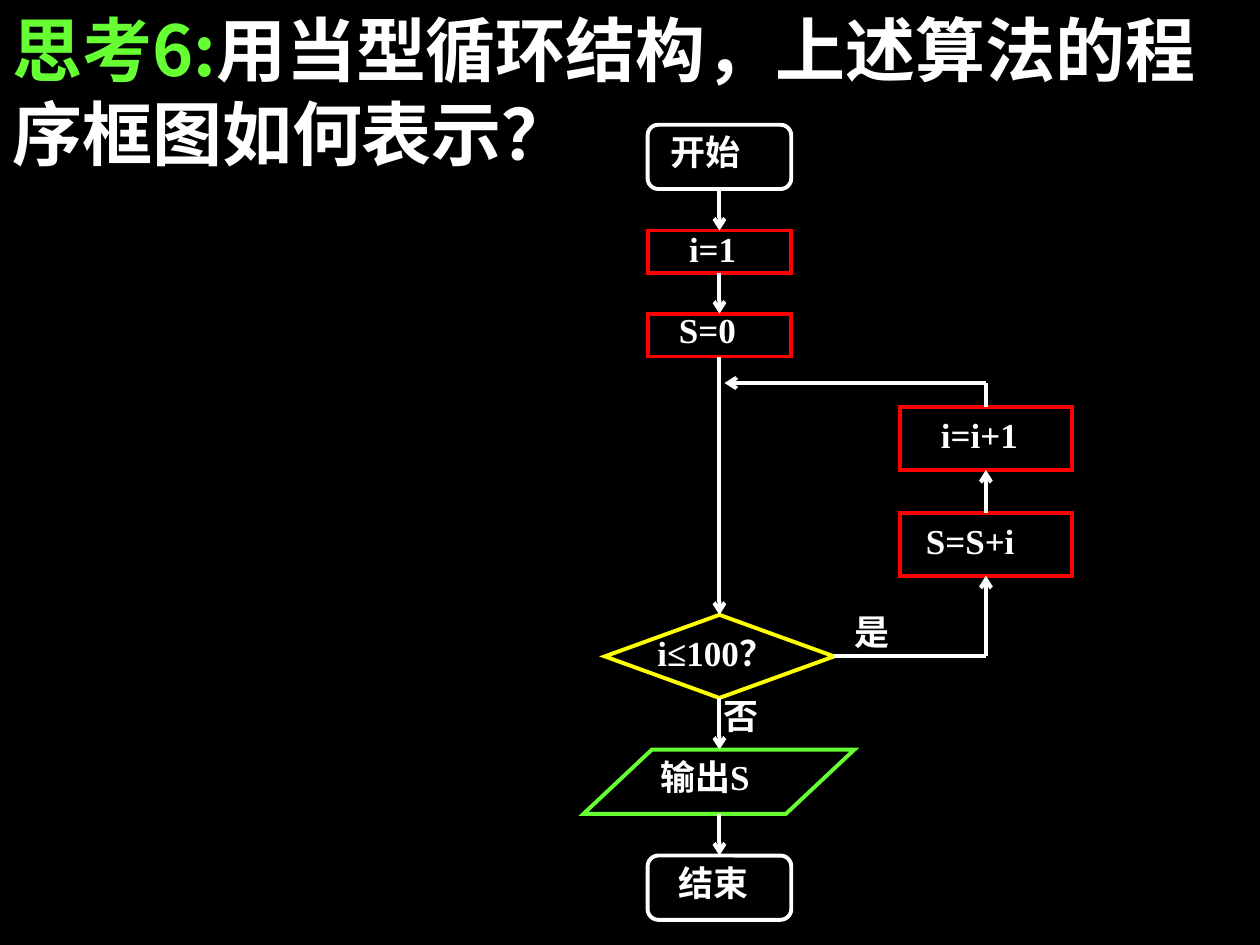
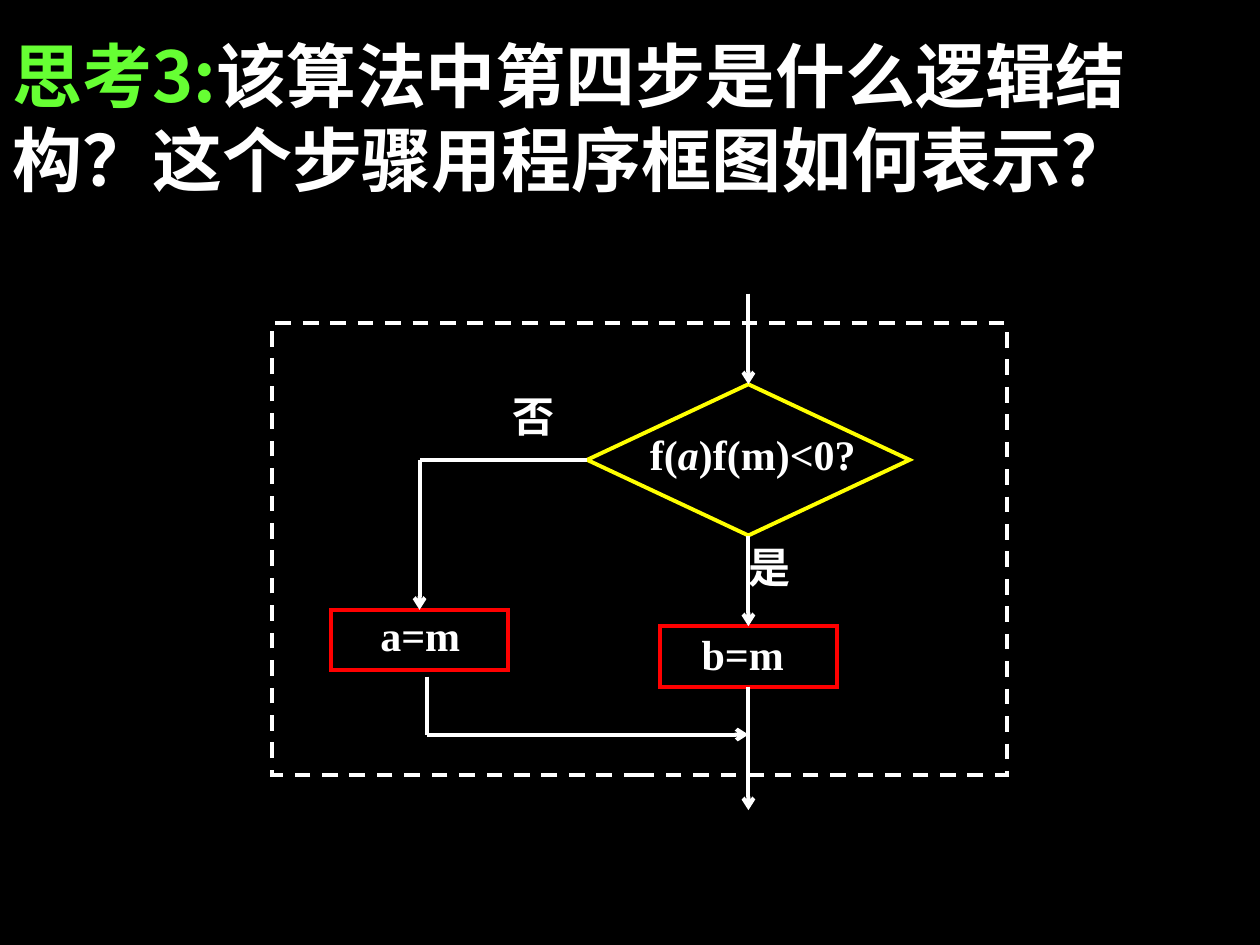
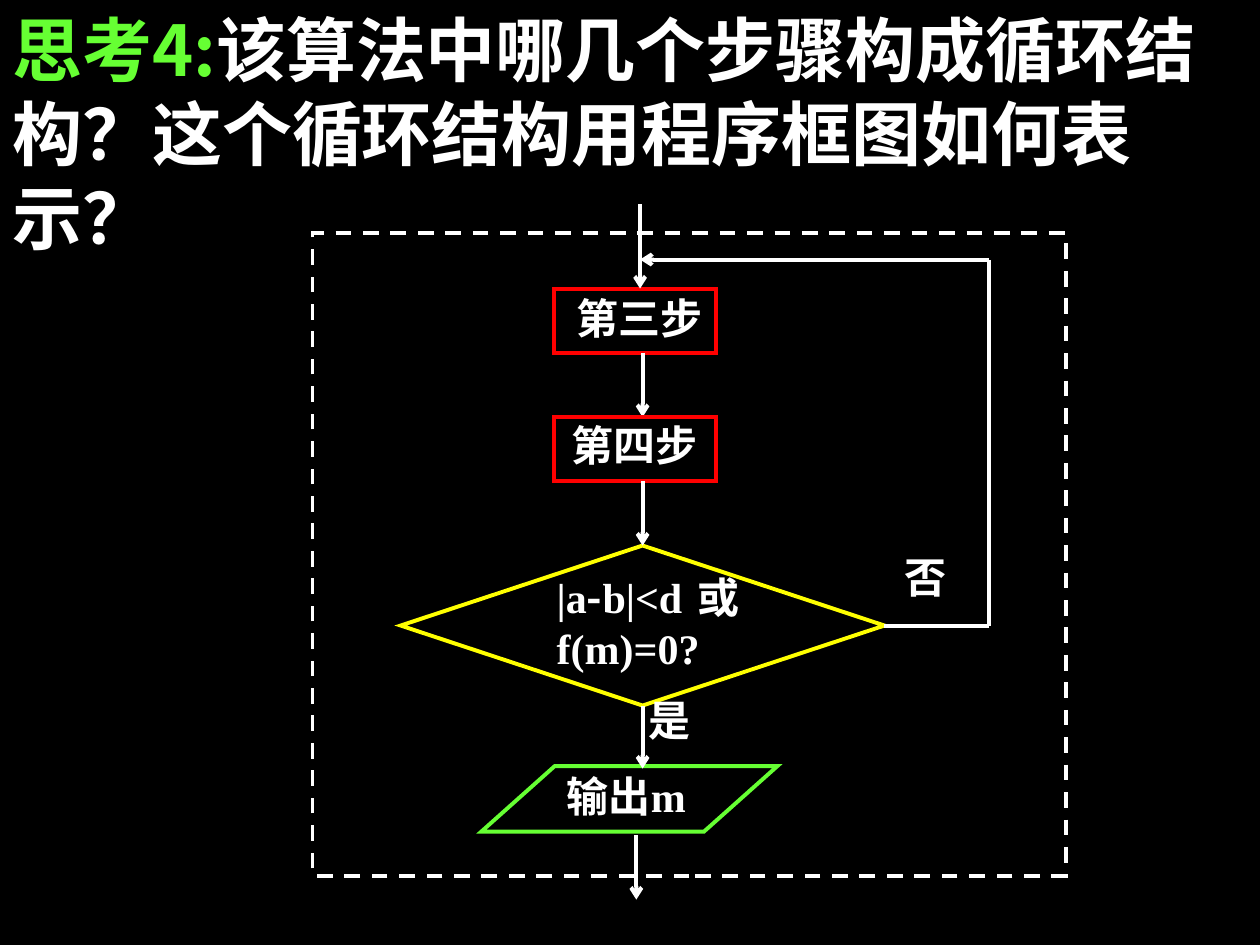
from lxml import etree
from pptx import Presentation
from pptx import util as u
from pptx.dml.color import RGBColor
from pptx.enum import dml, shapes, text
from pptx.oxml import ns

COLUMNS, ROWS = 100, 75
WHITE, BLACK, RED, YELLOW, GREEN = "FFFFFF", "000000", "FF0000", "FFFF00", "66FF33"
SANS, SERIF = "Noto Sans CJK SC", "Times New Roman"
TOP, LEFT, BOTTOM, RIGHT = range(4)


def color(value):
    return RGBColor.from_string(value)


def add_text(paragraph, words, size=20, font=SERIF, fill=WHITE, italic=False):
    run = paragraph.add_run()
    run.text = words
    run.font.size = u.Pt(size)
    run.font.bold = True
    run.font.italic = italic
    run.font.color.rgb = color(fill)
    run.font.name = font
    etree.SubElement(run.font._element, ns.qn("a:ea"), typeface=SANS)


class Flowchart:
    def __init__(self):
        self.presentation = Presentation()
        self.presentation.slide_width = u.Inches(10)
        self.presentation.slide_height = u.Inches(7.5)
        self.slide = None
        self.size = 20

    def place(self, column, row):
        return (round(self.presentation.slide_width * column / COLUMNS),
                round(self.presentation.slide_height * row / ROWS))

    def bounds(self, box):
        return *self.place(*box[:2]), *self.place(*box[2:])

    def new_slide(self, number, question, size, title_row=0):
        self.slide = self.presentation.slides.add_slide(self.presentation.slide_layouts[6])
        self.slide.background.fill.solid()
        self.slide.background.fill.fore_color.rgb = color(BLACK)
        self.size = size
        frame = self.text_frame((0, title_row, 100, 14.4))
        frame.auto_size = text.MSO_AUTO_SIZE.SHAPE_TO_FIT_TEXT
        paragraph = frame.paragraphs[0]
        paragraph._p.get_or_add_pPr().set("hangingPunct", "0")
        add_text(paragraph, f"思考{number}:", size=40, font=SANS, fill=GREEN)
        add_text(paragraph, question, size=40, font=SANS)

    def text_frame(self, box):
        frame = self.slide.shapes.add_textbox(*self.bounds(box)).text_frame
        frame.word_wrap = True
        return frame

    def label(self, box, *parts):
        paragraph = self.text_frame(box).paragraphs[0]
        paragraph.alignment = text.PP_ALIGN.JUSTIFY
        for part in parts:
            words, style = (part, {}) if isinstance(part, str) else part
            add_text(paragraph, words, size=self.size, **style)

    def outline(self, kind, box, line_color):
        shape = self.slide.shapes.add_shape(kind, *self.bounds(box))
        shape.shadow.inherit = False
        shape.fill.background()
        shape.line.color.rgb = color(line_color)
        shape.line.width = u.Pt(2.25)
        etree.SubElement(shape.line._ln, ns.qn("a:miter"), lim="800000")
        return shape

    def terminal(self, box):
        return self.outline(shapes.MSO_SHAPE.ROUNDED_RECTANGLE, box, WHITE)

    def process(self, box):
        return self.outline(shapes.MSO_SHAPE.RECTANGLE, box, RED)

    def decision(self, box):
        return self.outline(shapes.MSO_SHAPE.DIAMOND, box, YELLOW)

    def output(self, box, slant):
        shape = self.outline(shapes.MSO_SHAPE.PARALLELOGRAM, box, GREEN)
        shape.adjustments[0] = slant
        return shape

    def dashed_frame(self, box):
        frame = self.outline(shapes.MSO_SHAPE.RECTANGLE, box, WHITE)
        frame.line.dash_style = dml.MSO_LINE.DASH

    def line(self, start, end, arrow=False):
        connector = self.slide.shapes.add_connector(shapes.MSO_CONNECTOR.STRAIGHT, 0, 0, 0, 0)
        if isinstance(start[0], (int, float)):
            connector.begin_x, connector.begin_y = self.place(*start)
        else:
            connector.begin_connect(*start)
        if isinstance(end[0], (int, float)):
            connector.end_x, connector.end_y = self.place(*end)
        else:
            connector.end_connect(*end)
        connector.line.color.rgb = color(WHITE)
        connector.line.width = u.Pt(2.25)
        if arrow:
            etree.SubElement(connector.line._ln, ns.qn("a:tailEnd"), type="arrow")
        etree.SubElement(connector._element.spPr, ns.qn("a:effectLst"))

    def arrow(self, start, end):
        self.line(start, end, arrow=True)


def build_sum_loop(chart):
    chart.new_slide(6, "用当型循环结构，上述算法的程序框图如何表示？", 20)
    main, loop = 57.1, 78.25
    begin = chart.terminal((51.4, 9.9, 11.4, 5.1))
    counter = chart.process((51.4, 18.3, 11.4, 3.4))
    total = chart.process((51.4, 24.9, 11.4, 3.4))
    test = chart.decision((48, 48.8, 18.2, 6.6))
    chart.output((46.3, 59.5, 21.5, 5.1), 1.065)
    finish = chart.terminal((51.4, 67.9, 11.4, 5.1))
    add = chart.process((71.4, 40.7, 13.7, 5))
    increase = chart.process((71.4, 32.3, 13.7, 5))

    for upper, lower in ((begin, counter), (counter, total), (total, test)):
        chart.arrow((upper, BOTTOM), (lower, TOP))
    chart.arrow((test, BOTTOM), (main, 59.5))
    chart.arrow((main, 64.6), (finish, TOP))
    chart.line((test, RIGHT), (loop, 52.1))
    chart.arrow((loop, 52.1), (add, BOTTOM))
    chart.arrow((add, TOP), (increase, BOTTOM))
    chart.line((increase, TOP), (loop, 30.4))
    chart.arrow((loop, 30.4), (57.5, 30.4))

    for words, box in (
        ("开始", (52.2, 9.9, 11.4, 5.1)),
        ("i=1", (53.7, 17.6, 9.1, 5.1)),
        ("S=0", (52.9, 24, 9.1, 5.1)),
        ("i=i+1", (73.7, 32.3, 11.4, 5)),
        ("S=S+i", (72.5, 40.7, 13.7, 5)),
        ("i≤100？", (51.2, 49.6, 16, 5)),
        ("是", (66.8, 48, 6.9, 5)),
        ("否", (56.4, 54.6, 6.9, 5.1)),
        ("输出S", (51.4, 59.5, 11.4, 5.1)),
        ("结束", (52.9, 67.9, 9.1, 5.1)),
    ):
        chart.label(box, words)


def build_interval_choice(chart):
    chart.new_slide(3, "该算法中第四步是什么逻辑结构？这个步骤用程序框图如何表示？", 24, title_row=2.1)
    main, branch, merge = 59.4, 33.3, 58.3
    test = chart.decision((46.6, 30.5, 25.6, 12))
    set_a = chart.process((26.3, 48.4, 14, 4.8))
    set_b = chart.process((52.4, 49.7, 14, 4.8))

    chart.arrow((main, 23.3), (test, TOP))
    chart.arrow((test, BOTTOM), (set_b, TOP))
    chart.arrow((set_b, BOTTOM), (main, 64.3))
    chart.line((test, LEFT), (branch, 36.5))
    chart.arrow((branch, 36.5), (set_a, TOP))
    chart.line((33.9, 53.7), (33.9, merge))
    chart.arrow((33.9, merge), (main, merge))

    chart.label((50.6, 33.5, 18.6, 7.2), "f(", ("a", {"italic": True}), ")f(m)<0?")
    chart.label((29.2, 47.9, 11.7, 5.2), "a=m")
    chart.label((54.7, 49.4, 9.3, 5.3), "b=m")
    chart.label((58.4, 42.5, 7, 7.2), "是")
    chart.label((39.7, 30.5, 7, 7.2), "否")
    chart.dashed_frame((21.6, 25.6, 58.3, 35.9))


def build_bisection_loop(chart):
    chart.new_slide(4, "该算法中哪几个步骤构成循环结构？这个循环结构用程序框图如何表示？", 24)
    main, loop, back = 51, 78.5, 20.6
    first_row, pitch, height = 22.9, 10.2, 5.1
    test = chart.decision((31.8, first_row + 2 * pitch, 38.4, 12.7))
    for index in range(2):
        row = first_row + index * pitch
        chart.process((44, row, 12.8, height))
        chart.arrow((main, row + height), (main, row + pitch))
    chart.output((38.2, 60.8, 23.5, 5.2), 1.121)

    chart.arrow((50.8, 16.2), (50.8, first_row))
    chart.arrow((test, BOTTOM), (main, 61))
    chart.arrow((50.5, 66.3), (50.5, 71.4))
    chart.line((test, RIGHT), (loop, 49.65))
    chart.line((loop, 49.65), (loop, back))
    chart.arrow((loop, back), (50.8, back))

    chart.label((44.8, 22.7, 12.8, 7.6), "第三步")
    chart.label((44.4, 32.8, 12.8, 6.1), "第四步")
    chart.label((43.2, 44.9, 16.5, 7.7), "|a", ("-", {"font": SANS}), "b|<d或f(m)=0?")
    chart.label((44, 60.7, 12.8, 7.7), "输出m")
    chart.label((50.5, 54.6, 8.6, 7.7), "是")
    chart.label((70.8, 43.3, 8.7, 7.6), "否")
    chart.dashed_frame((24.8, 18.5, 59.8, 51))


def main():
    chart = Flowchart()
    build_sum_loop(chart)
    build_interval_choice(chart)
    build_bisection_loop(chart)
    chart.presentation.save("out.pptx")


if __name__ == "__main__":
    main()
